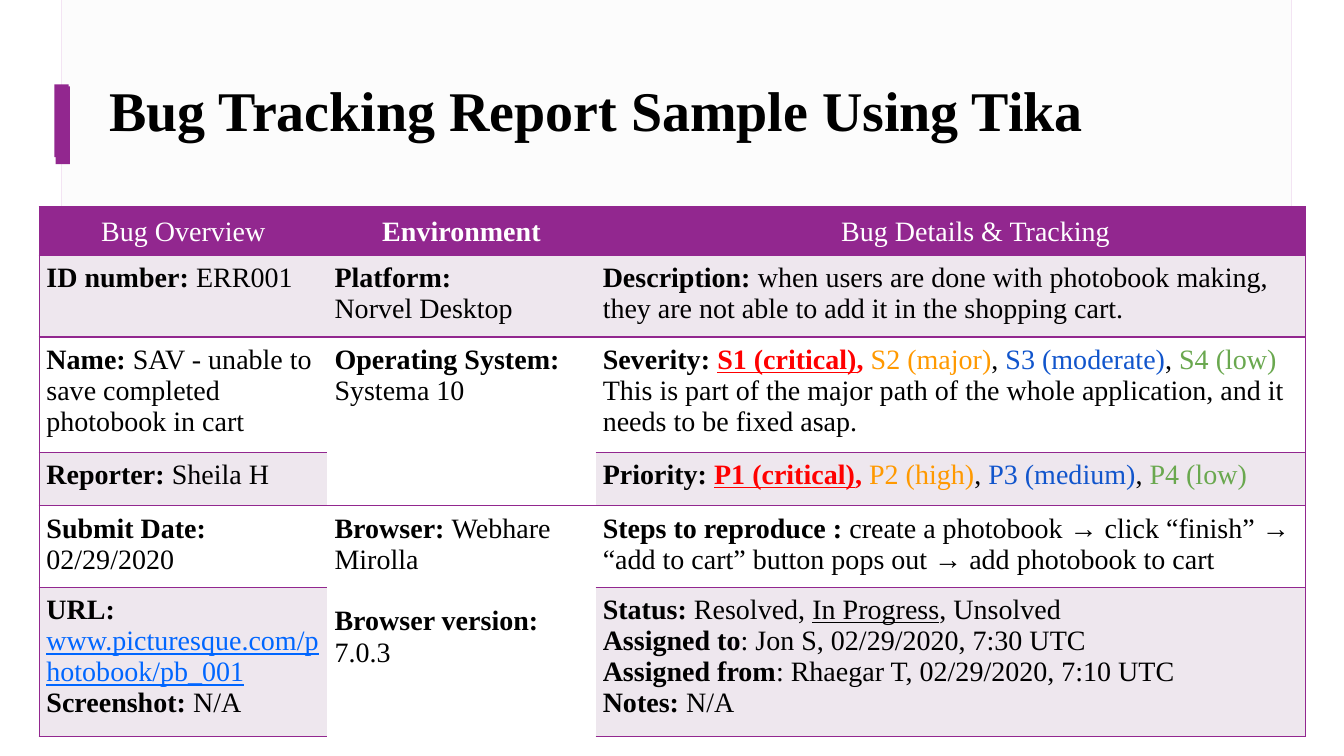
"""Build a one-slide bug tracking report with a merged three-column table."""
from lxml import etree
from pptx import Presentation
from pptx.dml.color import RGBColor
from pptx.enum.shapes import MSO_SHAPE
from pptx.enum.text import MSO_ANCHOR, PP_ALIGN
from pptx.oxml.ns import qn
from pptx.util import Cm, Pt

RECTANGLE = MSO_SHAPE.RECTANGLE
MIDDLE = MSO_ANCHOR.MIDDLE
CENTER = PP_ALIGN.CENTER
FONT = "Times New Roman"
COLORS = {
    "purple": "92278F", "band": "EEE7EE", "white": "FFFFFF", "black": "000000",
    "panel": "FCFCFC", "panel line": "F3E4F3", "red": "FF0000", "orange": "FF9900",
    "blue": "1155CC", "green": "6AA84F", "link": "0066FF",
}

# style: (colour, bold, underline)
STYLES = {
    "label": ("black", True, False),
    "plain": ("black", False, False),
    "chosen": ("black", False, True),
    "top": ("red", True, True),
    "top comma": ("red", True, False),
    "second": ("orange", False, False),
    "third": ("blue", False, False),
    "fourth": ("green", False, False),
    "link": ("link", False, True),
}


def labelled(label, text):
    return [(label, "label"), (text, "plain")]


def rating(label, levels):
    top, second, third, fourth = levels
    return [
        (label, "label"), (top, "top"), (", ", "top comma"), (second, "second"),
        (", ", "plain"), (third, "third"), (", ", "plain"), (fourth, "fourth"),
    ]


TITLE = "Bug Tracking Report Sample Using Tika"
HEADERS = [("Bug Overview", False, 0), ("Environment", True, 0),
           ("Bug Details & Tracking", False, 1.27)]
OVERVIEW = [
    [labelled("ID number: ", "ERR001")],
    [labelled("Name: ", "SAV - unable to save completed photobook in cart")],
    [labelled("Reporter: ", "Sheila H")],
    [labelled("Submit Date: ", "02/29/2020")],
    [[("URL: ", "label"), ("www.picturesque.com/photobook/pb_001", "link")],
     labelled("Screenshot: ", "N/A")],
]
ENVIRONMENT = [
    [[("Platform:", "label")], [("Norvel Desktop", "plain")]],
    [labelled("Operating System: ", "Systema 10")],
    None,
    [labelled("Browser: ", "Webhare Mirolla"), labelled("Browser version: ", "7.0.3")],
    None,
]
DETAILS = [
    [labelled("Description: ", "when users are done with photobook making, "
              "they are not able to add it in the shopping cart.")],
    [rating("Severity: ", ["S1 (critical)", "S2 (major)", "S3 (moderate)", "S4 (low)"]),
     [("This is part of the major path of the whole application, "
       "and it needs to be fixed asap.", "plain")]],
    [rating("Priority: ", ["P1 (critical)", "P2 (high)", "P3 (medium)", "P4 (low)"])],
    [labelled("Steps to reproduce : ", "create a photobook → click “finish” → "
              "“add to cart” button pops out → add photobook to cart")],
    [[("Status: ", "label"), ("Resolved, ", "plain"), ("In Progress", "chosen"),
      (", Unsolved", "plain")],
     labelled("Assigned to", ": Jon S, 02/29/2020, 7:30 UTC"),
     labelled("Assigned from", ": Rhaegar T, 02/29/2020, 7:10 UTC"),
     labelled("Notes: ", "N/A")],
]
COLUMN_WIDTHS = [7.26, 6.76, 17.88]
ROW_HEIGHTS = [1.22, 1.93, 2.72, 1.35, 1.91, 3.51]
MERGED_ROWS = [(2, 3), (4, 5)]
BROWSER_GAP = Pt(22)

# left, top, width, height, fill, line
RECTANGLES = [
    (1.55, 0, 31.01, 5.61, "panel", "panel line"),
    (1.4, 2.18, 0.36, 1.96, "purple", None),
    (1.37, 2.13, 0.36, 1.83, "purple", None),
]


def rgb(name):
    return RGBColor.from_string(COLORS[name])


def add_rectangle(slide, left, top, width, height, fill, line):
    shape = slide.shapes.add_shape(RECTANGLE, Cm(left), Cm(top), Cm(width), Cm(height))
    shape.shadow.inherit = False
    shape.fill.solid()
    shape.fill.fore_color.rgb = rgb(fill)
    if line:
        shape.line.color.rgb = rgb(line)
        shape.line.width = Pt(0.75)
    else:
        shape.line.fill.background()


def set_font(font, size, color, bold):
    font.name, font.size, font.bold = FONT, Pt(size), bold
    font.color.rgb = rgb(color)


def add_title(slide):
    box = slide.shapes.add_textbox(Cm(2.51), Cm(1.12), Cm(29.26), Cm(3.28))
    frame = box.text_frame
    frame.word_wrap = True
    frame.vertical_anchor = MIDDLE
    paragraph = frame.paragraphs[0]
    paragraph.text = TITLE
    set_font(paragraph.font, 40, "black", True)


def set_borders(cell, visible):
    properties = cell._tc.get_or_add_tcPr()
    for side in "LRTB":
        line = etree.SubElement(properties, qn("a:ln" + side), w=str(Pt(1)))
        if side in visible:
            fill = etree.SubElement(line, qn("a:solidFill"))
            etree.SubElement(fill, qn("a:srgbClr"), val=COLORS["purple"])
        else:
            etree.SubElement(line, qn("a:noFill"))


def style_cell(cell, row, column):
    visible = "TB"
    if column == 0:
        visible += "L"
    elif column == 2:
        visible += "R"
    elif any(row == first for first, last in MERGED_ROWS):
        visible = "T"
    elif any(row == last for first, last in MERGED_ROWS):
        visible = "B"
    set_borders(cell, visible)
    merged = column == 1 and row > 1
    fill = "purple" if row == 0 else "white" if merged or row % 2 == 0 else "band"
    cell.fill.solid()
    cell.fill.fore_color.rgb = rgb(fill)


def fill_header(cell, text, bold, indent):
    paragraph = cell.text_frame.paragraphs[0]
    paragraph.text = text
    paragraph.alignment = CENTER
    paragraph.line_spacing = 1.15
    paragraph._p.get_or_add_pPr().set("marL", str(Cm(indent)))
    set_font(paragraph.font, 20, "white", bold)


def fill_body(cell, lines):
    cell.margin_left = cell.margin_right = cell.margin_top = cell.margin_bottom = Cm(0.18)
    frame = cell.text_frame
    for index, line in enumerate(lines):
        paragraph = frame.add_paragraph() if index else frame.paragraphs[0]
        if line[0][0] == "Browser version: ":
            paragraph.space_before = BROWSER_GAP
        for text, style in line:
            color, bold, underline = STYLES[style]
            run = paragraph.add_run()
            run.text = text
            set_font(run.font, 20, color, bold)
            run.font.underline = underline


def add_report_table(slide):
    table = slide.shapes.add_table(
        len(ROW_HEIGHTS), len(COLUMN_WIDTHS), Cm(0.99), Cm(5.21),
        Cm(sum(COLUMN_WIDTHS)), Cm(sum(ROW_HEIGHTS))).table
    table.first_row = table.horz_banding = False
    for column, width in zip(table.columns, COLUMN_WIDTHS):
        column.width = Cm(width)
    for row, height in zip(table.rows, ROW_HEIGHTS):
        row.height = Cm(height)
    for first, last in MERGED_ROWS:
        table.cell(first, 1).merge(table.cell(last, 1))
    for column, (header, body) in enumerate(zip(HEADERS, (OVERVIEW, ENVIRONMENT, DETAILS))):
        fill_header(table.cell(0, column), *header)
        for row in range(len(ROW_HEIGHTS)):
            style_cell(table.cell(row, column), row, column)
        for row, lines in enumerate(body, start=1):
            if lines:
                fill_body(table.cell(row, column), lines)


def main():
    presentation = Presentation()
    presentation.slide_width, presentation.slide_height = Cm(33.87), Cm(19.05)
    slide = presentation.slides.add_slide(presentation.slide_layouts[6])
    for rectangle in RECTANGLES:
        add_rectangle(slide, *rectangle)
    add_title(slide)
    add_report_table(slide)
    presentation.save("out.pptx")


if __name__ == "__main__":
    main()
